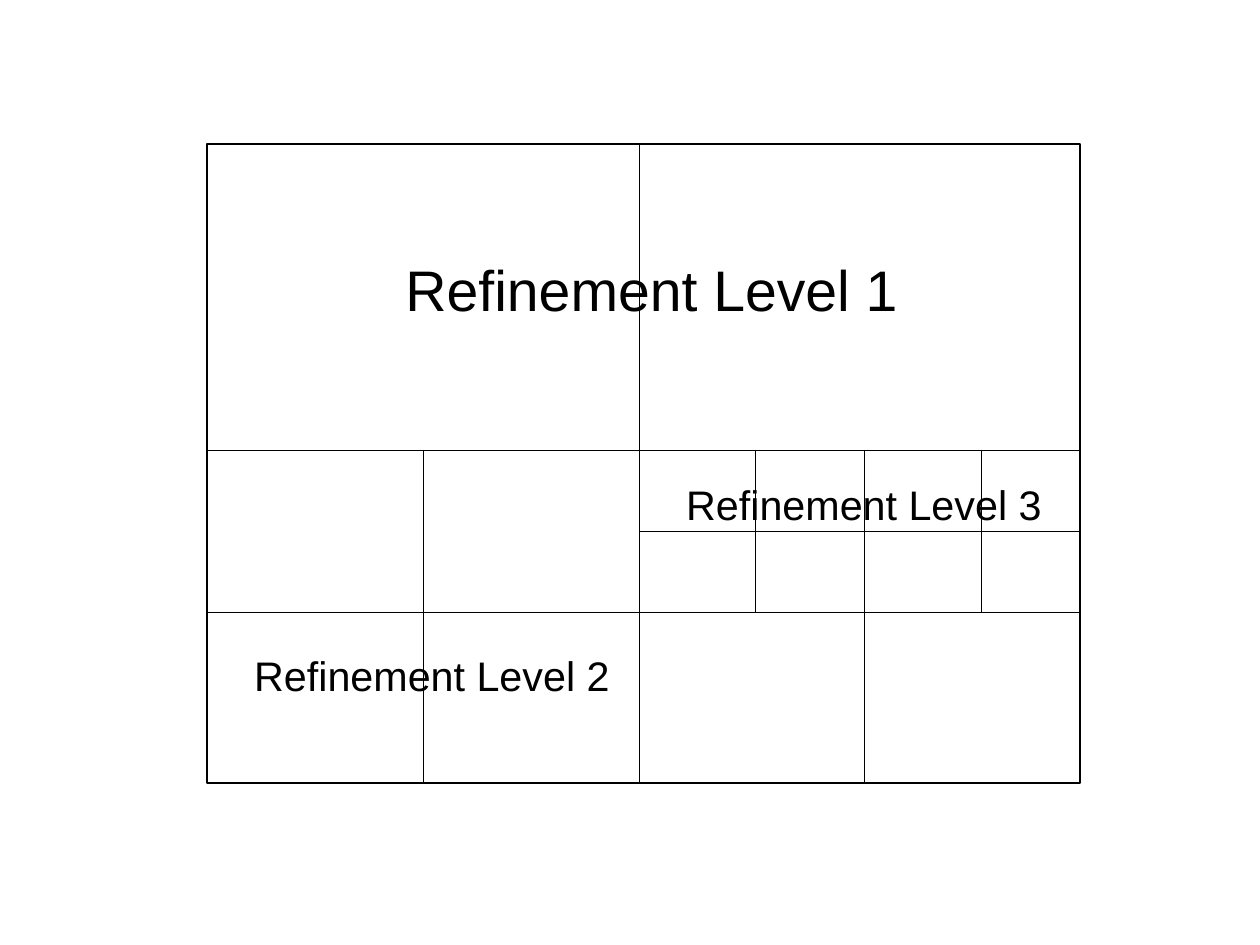
from lxml import etree
from pptx import Presentation
from pptx import util as u
from pptx.dml.color import RGBColor
from pptx.enum import shapes, text
from pptx.oxml.ns import qn

THEME = {
    "ink": RGBColor(0, 0, 0),
    "font": "Arial",
    "large": u.Pt(36),
    "medium": u.Pt(26),
    "frame": u.Pt(1.5),
    "hairline": u.Pt(0.01),
}

presentation = Presentation()
presentation.slide_width = u.Cm(28)
presentation.slide_height = u.Cm(21)
slide = presentation.slides.add_slide(presentation.slide_layouts[6])

# Mesh edges: all cell borders lie on these columns and rows.
columns = [u.Cm(x) for x in (4.6, 9.4, 14.2, 16.8, 19.2, 21.8, 24)]
rows = [u.Cm(y) for y in (3.2, 10, 11.8, 13.6, 17.4)]


def add_label(content, left, top, width, size, wrap=True):
    box = slide.shapes.add_textbox(
        u.Cm(left), u.Cm(top), u.Cm(width), u.Cm(1.68))
    frame = box.text_frame
    frame.word_wrap = wrap
    frame.auto_size = text.MSO_AUTO_SIZE.SHAPE_TO_FIT_TEXT
    run = frame.paragraphs[0].add_run()
    run.text = content
    run.font.name = THEME["font"]
    run.font.size = size
    run.font.color.rgb = THEME["ink"]


domain = slide.shapes.add_shape(
    shapes.MSO_SHAPE.RECTANGLE, columns[0], rows[0],
    columns[-1] - columns[0], rows[-1] - rows[0])
domain.shadow.inherit = False
domain.fill.background()
domain.line.color.rgb = THEME["ink"]
domain.line.width = THEME["frame"]

# Each divider runs from (column, row) to (column, row).
dividers = [
    ((2, 0), (2, 4)),
    ((0, 1), (6, 1)),
    ((4, 4), (4, 1)),
    ((6, 3), (2, 3)),
    ((3, 1), (3, 3)),
    ((2, 2), (4, 2)),
    ((2, 3), (0, 3)),
    ((1, 1), (1, 4)),
    ((4, 2), (6, 2)),
    ((5, 1), (5, 3)),
]
for (start_column, start_row), (end_column, end_row) in dividers:
    divider = slide.shapes.add_connector(
        shapes.MSO_CONNECTOR.STRAIGHT,
        columns[start_column], rows[start_row],
        columns[end_column], rows[end_row])
    divider.line.color.rgb = THEME["ink"]
    divider.line.width = THEME["hairline"]
    etree.SubElement(divider._element.spPr, qn("a:effectLst"))

add_label("Refinement Level 1", 8.76, 5.53, 11.46, THEME["large"], wrap=False)
add_label("Refinement Level 2", 5.4, 14.32, 8.6, THEME["medium"])
add_label("Refinement Level 3", 15, 10.52, 8.6, THEME["medium"])

presentation.save("out.pptx")
